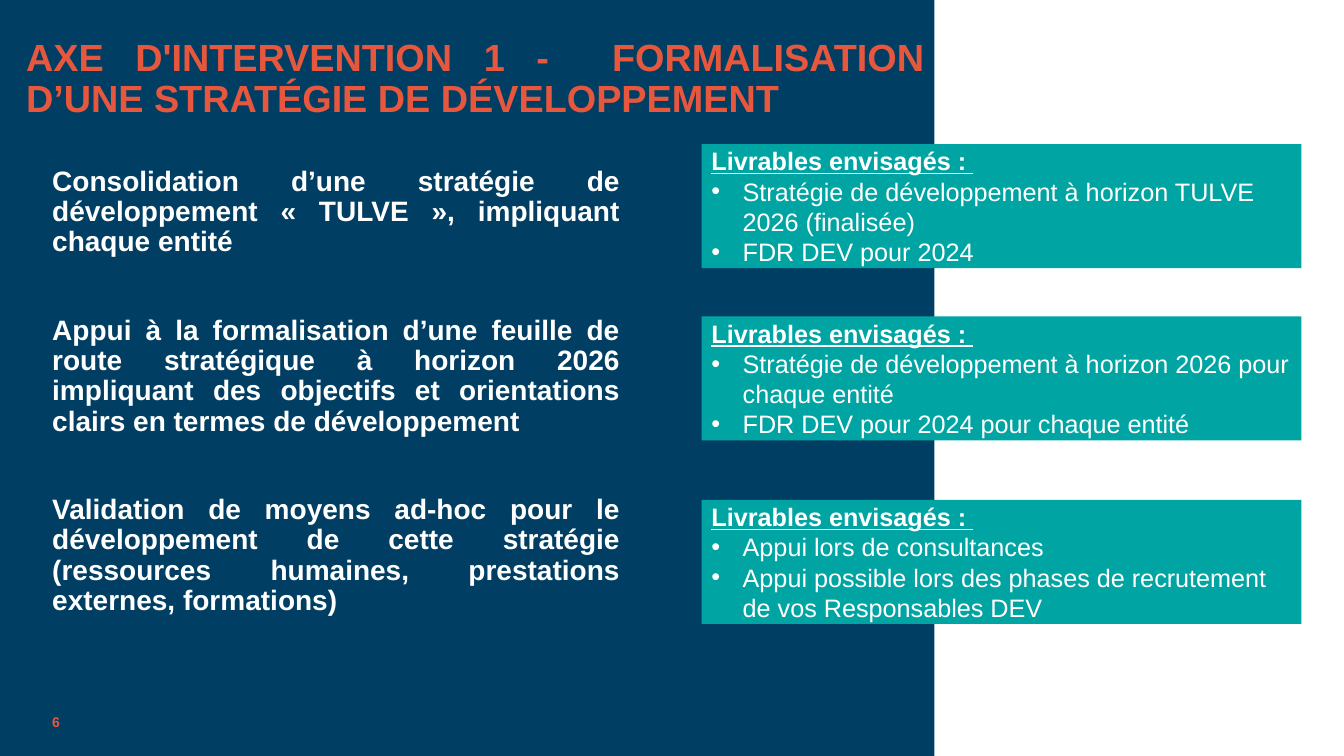
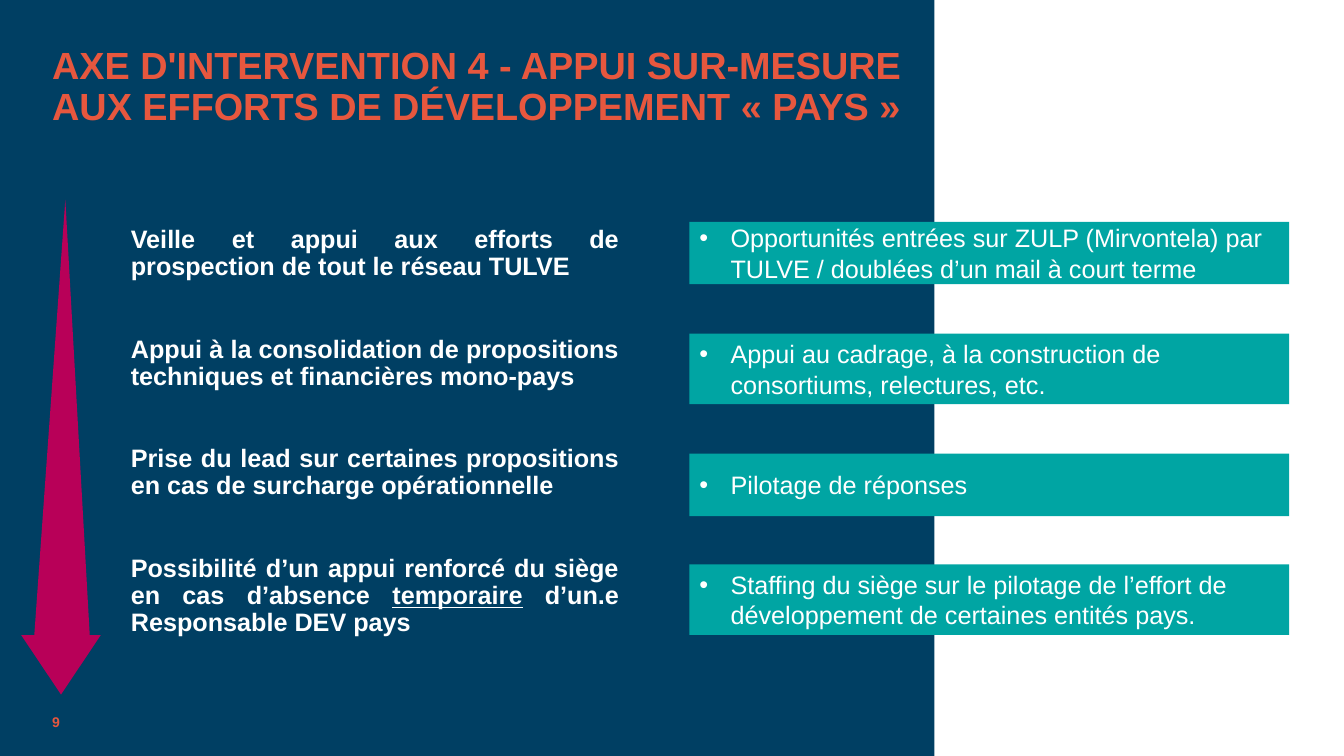
import pptx
import pptx.util
import pptx.dml.color
import pptx.enum.shapes
import pptx.enum.text
import lxml.etree

PX = 9144  # 100 px to the inch
HUES = {"navy": "003F63", "teal": "00A5A3", "coral": "E7573E",
        "pink": "B80058", "white": "FFFFFF"}
FORM = pptx.enum.shapes.MSO_SHAPE
ALIGN = pptx.enum.text.PP_ALIGN
ANCHOR = pptx.enum.text.MSO_ANCHOR
LEFT, JUST = ALIGN.LEFT, ALIGN.JUSTIFY
HEAD = "Livrables envisagés : "

# Each slide: title, numbered footer, body text and teal cards
pages = [
    {"title": "AXE D'INTERVENTION 1 -  FORMALISATION D’UNE STRATÉGIE DE DÉVELOPPEMENT ",
     "spot": (16, 44, 911, 70), "align": JUST, "num": "6",
     "body": (42, 161, 583, 530), "size": 20, "gap": 41.6,
     "texts": [
         ["Consolidation d’une stratégie de développement « TULVE », impliquant chaque entité "],
         ["Appui à la formalisation d’une feuille de route stratégique à horizon 2026 "
          "impliquant des objectifs et orientations clairs en termes de développement "],
         ["Validation de moyens ad-hoc pour le développement de cette stratégie "
          "(ressources humaines, prestations externes, formations) "]],
     "x": 696,
     "cards": [
         (143, 123, HEAD, ["Stratégie de développement à horizon TULVE 2026 (finalisée)",
                           "FDR DEV pour 2024"]),
         (314, 123, HEAD, ["Stratégie de développement à horizon 2026 pour chaque entité",
                           "FDR DEV pour 2024 pour chaque entité"]),
         (496, 123, HEAD, ["Appui lors de consultances",
                           "Appui possible lors des phases de recrutement de vos Responsables DEV"])],
     "arrow": False},
    {"title": "AXE D'INTERVENTION 4 - APPUI SUR-MESURE AUX EFFORTS DE DÉVELOPPEMENT « PAYS »",
     "spot": (42, 52, 917, 70), "align": LEFT, "num": "9",
     "body": (120, 220, 504, 530), "size": 18, "gap": 39.4,
     "texts": [
         ["Veille et appui aux efforts de prospection de tout le réseau TULVE"],
         ["Appui à la consolidation de propositions techniques et financières mono-pays"],
         ["Prise du lead sur certaines propositions en cas de surcharge opérationnelle "],
         ["Possibilité d’un appui renforcé du siège en cas d’absence ", "temporaire",
          " d’un.e Responsable DEV pays"]],
     "x": 684,
     "cards": [
         (220, 62, None, ["Opportunités entrées sur ZULP (Mirvontela) par "
                          "TULVE / doublées d’un mail à court terme"]),
         (331, 70, None, ["Appui au cadrage, à la construction de consortiums, relectures, etc."]),
         (450, 62, None, ["Pilotage de réponses"]),
         (560, 70, None, ["Staffing du siège sur le pilotage de l’effort de "
                          "développement de certaines entités pays."])],
     "arrow": True},
]


def block(slide, box, hue=None, form=FORM.RECTANGLE, anchor=ANCHOR.MIDDLE):
    """Add a filled shape, or a text box when there is no hue."""
    place = [n * PX for n in box]
    if hue:
        shape = slide.shapes.add_shape(form, *place)
        shape.shadow.inherit = False
        shape.fill.solid()
        shape.fill.fore_color.rgb = pptx.dml.color.RGBColor.from_string(HUES[hue])
        shape.line.fill.background()
    else:
        shape = slide.shapes.add_textbox(*place)
    shape.text_frame.word_wrap = True
    shape.text_frame.vertical_anchor = anchor
    return shape


def write(frame, runs, size, hue="white", bold=False, align=LEFT, under=()):
    """Add one paragraph; runs whose index is in under are underlined."""
    first = frame.paragraphs[0]
    para = first if not first.runs else frame.add_paragraph()
    para.alignment = align
    for i, text in enumerate(runs):
        run = para.add_run()
        run.text = text
        run.font.name = "Arial"
        run.font.size = pptx.util.Pt(size)
        run.font.bold = bold
        run.font.underline = i in under
        run.font.color.rgb = pptx.dml.color.RGBColor.from_string(HUES[hue])
    return para


deck = pptx.Presentation()
deck.slide_width, deck.slide_height = 12192000, 750 * PX

for page in pages:
    slide = deck.slides.add_slide(deck.slide_layouts[6])

    # Navy panel, title and number
    block(slide, (0, 0, 927, 750), "navy")
    title = block(slide, page["spot"])
    para = write(title.text_frame, [page["title"]], 27, "coral", True, page["align"])
    para.line_spacing = 0.9
    foot = block(slide, (42, 689, 300, 40), anchor=ANCHOR.BOTTOM)
    write(foot.text_frame, [page["num"]], 10, "coral", True)

    # Body text
    body = block(slide, page["body"], anchor=ANCHOR.TOP)
    for i, runs in enumerate(page["texts"]):
        para = write(body.text_frame, runs, page["size"], bold=True, align=JUST, under=(1,))
        para.line_spacing = 0.9
        para.space_before = pptx.util.Pt(page["gap"] if i else 0)

    # Teal cards with bullets
    for top, high, head, items in page["cards"]:
        card = block(slide, (page["x"], top, 595, high), "teal")
        if head:
            write(card.text_frame, [head], 18, bold=True, under=(0,))
        for item in items:
            props = write(card.text_frame, [item], 18)._p.get_or_add_pPr()
            props.set("marL", str(31 * PX))
            props.set("indent", str(-31 * PX))
            for tag, key, val in (("buFont", "typeface", "Arial"), ("buChar", "char", "•")):
                mark = lxml.etree.SubElement(props, pptx.oxml.ns.qn("a:" + tag))
                mark.set(key, val)

    # Tapered arrow
    if page["arrow"]:
        shaft = block(slide, (34, 198, 55, 432), "pink", FORM.ISOSCELES_TRIANGLE)
        shaft.adjustments[0] = 0.56
        tip = block(slide, (21, 630, 79, 59), "pink", FORM.ISOSCELES_TRIANGLE)
        tip.rotation = 180

deck.save("out.pptx")
